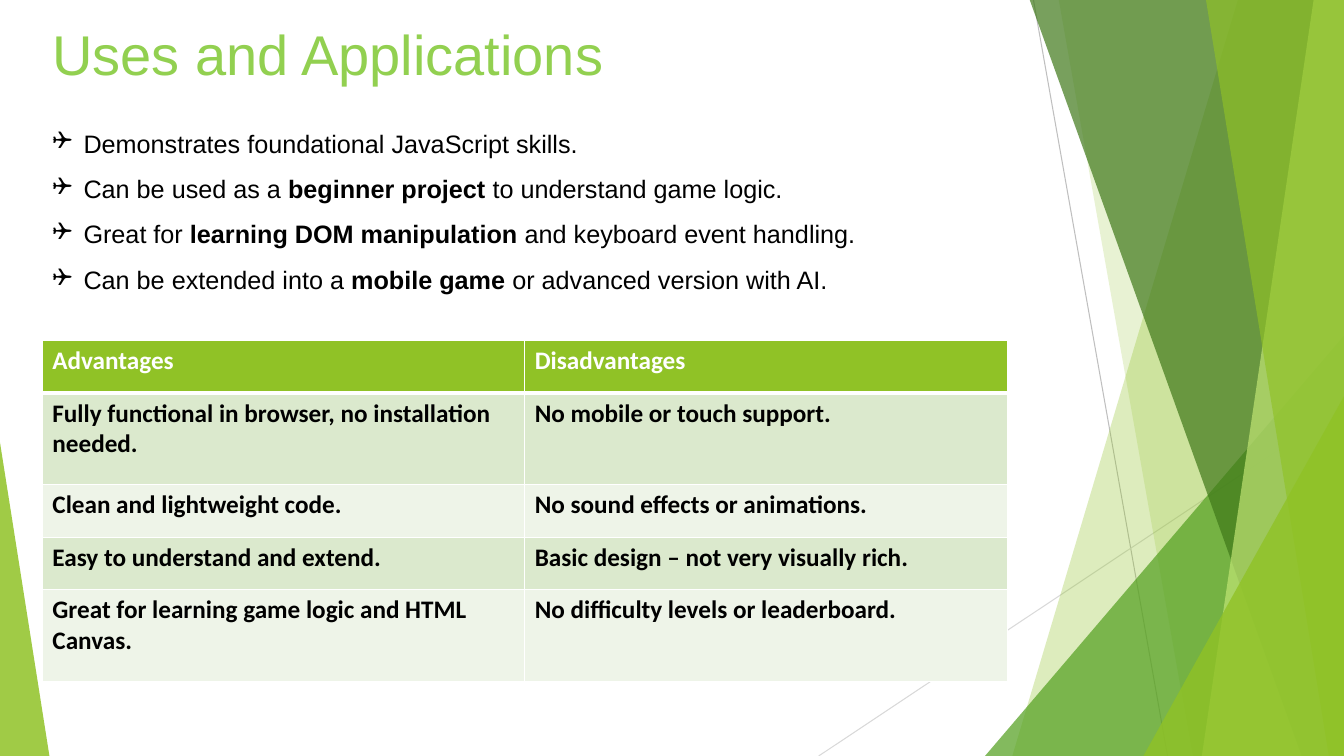
from lxml import etree
from pptx import Presentation
from pptx import util as u
from pptx.dml.color import RGBColor
from pptx.enum import shapes, text
from pptx.oxml import ns

COLORS = {
    "lime": "90C226", "green": "54A021", "forest": "3F7819", "pale": "C0E474",
    "title": "92D050", "black": "000000", "white": "FFFFFF",
    "band_dark": "DBE9CD", "band_light": "EEF4E8",
    "steep_line": "BFBFBF", "shallow_line": "D9D9D9",
}
WIDTH, HEIGHT, TOP = 13.33, 7.5, -0.01
USES = [
    "Demonstrates foundational JavaScript skills.",
    "Can be used as a **beginner project** to understand game logic.",
    "Great for **learning DOM manipulation** and keyboard event handling.",
    "Can be extended into a **mobile game** or advanced version with AI.",
]
COMPARISON = [
    ("Advantages", "Disadvantages"),
    ("Fully functional in browser, no installation needed.", "No mobile or touch support."),
    ("Clean and lightweight code.", "No sound effects or animations."),
    ("Easy to understand and extend.", "Basic design – not very visually rich."),
    ("Great for learning game logic and HTML Canvas.", "No difficulty levels or leaderboard."),
]
ROW_HEIGHTS = [0.52, 0.91, 0.52, 0.52, 0.91]


def rgb(name):
    return RGBColor.from_string(COLORS[name])


def add_element(parent, tag, **attributes):
    return etree.SubElement(parent, ns.qn(tag), attributes)


def write_text(paragraph, content, size=18, font="Arial", color="black", bold=False,
               bullet=None, indent=0.31, line_spacing=None):
    for index, part in enumerate(content.split("**")):
        run = paragraph.add_run()
        run.text = part
        run.font.size = u.Pt(size)
        run.font.name = font
        run.font.bold = bold or index % 2 == 1
        run.font.color.rgb = rgb(color)
    if line_spacing:
        paragraph.line_spacing = line_spacing
    if bullet:
        properties = paragraph._p.get_or_add_pPr()
        properties.set("marL", str(u.Inches(indent)))
        properties.set("indent", str(-u.Inches(indent)))
        add_element(properties, "a:buFont", typeface="Wingdings")
        add_element(properties, "a:buChar", char=bullet)


def add_text_box(slide, left, top, width, height, lines, wrap=True, **style):
    box = slide.shapes.add_textbox(*map(u.Inches, (left, top, width, height)))
    frame = box.text_frame
    frame.word_wrap = wrap
    frame.auto_size = text.MSO_AUTO_SIZE.SHAPE_TO_FIT_TEXT
    for index, line in enumerate(lines):
        paragraph = frame.add_paragraph() if index else frame.paragraphs[0]
        write_text(paragraph, line, **style)


def add_line(slide, start, end, color):
    points = map(u.Inches, (*start, *end))
    line = slide.shapes.add_connector(shapes.MSO_CONNECTOR.STRAIGHT, *points)
    line.line.color.rgb = rgb(color)
    line.line.width = u.Pt(0.75)
    add_element(line._element.spPr, "a:effectLst")


def paint(shape, color, opacity):
    shape.shadow.inherit = False
    shape.line.fill.background()
    shape.fill.solid()
    shape.fill.fore_color.rgb = rgb(color)
    fill_color = shape._element.spPr.find(".//" + ns.qn("a:srgbClr"))
    add_element(fill_color, "a:alpha", val=str(opacity * 1000))


def add_facet(slide, top_left, bottom_left, color, opacity):
    corners = [(WIDTH, TOP), (WIDTH, HEIGHT), (bottom_left, HEIGHT)]
    builder = slide.shapes.build_freeform(u.Inches(top_left), u.Inches(TOP))
    builder.add_line_segments([(u.Inches(x), u.Inches(y)) for x, y in corners])
    paint(builder.convert_to_shape(), color, opacity)


def add_triangle(slide, left, top, width, apex, color, opacity):
    bounds = map(u.Inches, (left, top, width, HEIGHT - top))
    triangle = slide.shapes.add_shape(shapes.MSO_SHAPE.ISOSCELES_TRIANGLE, *bounds)
    triangle.adjustments[0] = apex
    paint(triangle, color, opacity)


def add_border(cell, side, width):
    properties = cell._tc.get_or_add_tcPr()
    border = add_element(properties, "a:ln" + side, w=str(u.Pt(width)))
    fill = add_element(border, "a:solidFill")
    add_element(fill, "a:srgbClr", val=COLORS["white"])


def add_comparison_table(slide, left, top, width):
    bounds = map(u.Inches, (left, top, width, sum(ROW_HEIGHTS)))
    table = slide.shapes.add_table(len(COMPARISON), 2, *bounds).table
    for row_index, entries in enumerate(COMPARISON):
        table.rows[row_index].height = u.Inches(ROW_HEIGHTS[row_index])
        header = row_index == 0
        band = "lime" if header else "band_dark" if row_index % 2 else "band_light"
        for column_index, entry in enumerate(entries):
            cell = table.cell(row_index, column_index)
            write_text(cell.text_frame.paragraphs[0], entry, font="Calibri", bold=True,
                       color="white" if header else "black")
            for side in "LRTB":
                add_border(cell, side, 3 if header and side == "B" else 1)
            cell.fill.solid()
            cell.fill.fore_color.rgb = rgb(band)


def add_backdrop(slide):
    add_line(slide, (10.25, 0), (11.58, HEIGHT), "steep_line")
    add_line(slide, (WIDTH, 4.03), (8.12, HEIGHT), "shallow_line")
    add_facet(slide, 12.28, 10.04, "lime", 30)
    add_facet(slide, 10.5, 11.83, "lime", 20)
    add_triangle(slide, 9.77, 3.33, 3.56, 1, "green", 72)
    add_facet(slide, 10.21, 12.91, "forest", 70)
    add_facet(slide, 13.03, 11.92, "pale", 70)
    add_facet(slide, 11.96, 13.18, "lime", 65)
    add_triangle(slide, 11.34, 3.93, 1.99, 1, "lime", 80)
    add_triangle(slide, 0, 4.39, 0.49, 0, "lime", 85)


def main():
    presentation = Presentation()
    presentation.slide_width = u.Inches(WIDTH)
    presentation.slide_height = u.Inches(HEIGHT)
    slide = presentation.slides.add_slide(presentation.slide_layouts[6])
    add_backdrop(slide)
    add_text_box(slide, 0.42, 0.14, 6.71, 0.77, ["Uses and Applications"],
                 wrap=False, size=40, color="title")
    add_text_box(slide, 0.42, 1.07, 9.19, 1.86, USES, bullet="❑", line_spacing=1.5)
    add_comparison_table(slide, 0.42, 3.38, 9.57)
    presentation.save("out.pptx")


if __name__ == "__main__":
    main()
